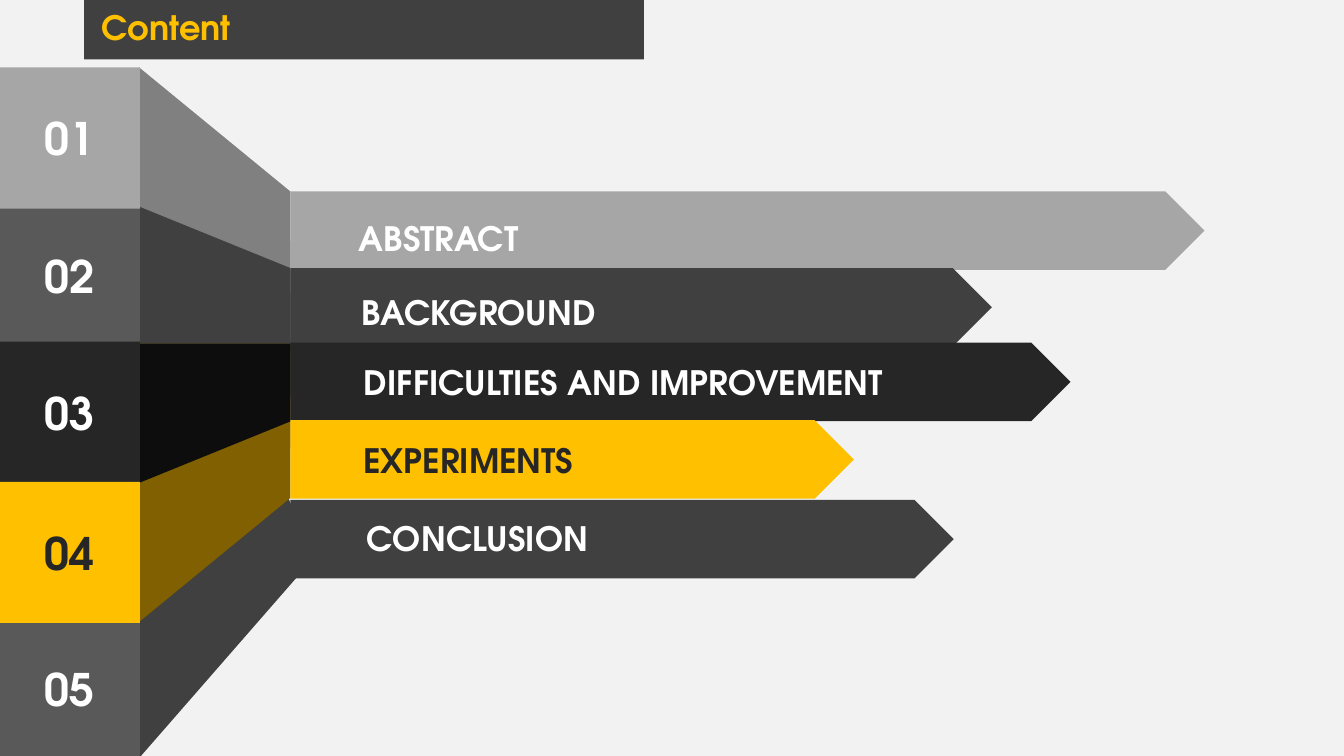
from pptx import Presentation
from pptx.dml.color import RGBColor
from pptx.enum.shapes import MSO_SHAPE
from pptx.enum.text import MSO_ANCHOR, PP_ALIGN
from pptx.util import Pt

RECTANGLE = MSO_SHAPE.RECTANGLE
PENTAGON = MSO_SHAPE.PENTAGON
PARALLELOGRAM = MSO_SHAPE.FLOWCHART_DATA
LEFT, CENTER = PP_ALIGN.LEFT, PP_ALIGN.CENTER
TOP, MIDDLE = MSO_ANCHOR.TOP, MSO_ANCHOR.MIDDLE

FONT = "TeX Gyre Adventor"
COLORS = {
    "background": "F2F2F2",
    "white": "FFFFFF",
    "silver": "A6A6A6",
    "gray": "808080",
    "slate": "595959",
    "charcoal": "404040",
    "dark": "262626",
    "black": "0D0D0D",
    "gold": "FFC000",
    "brown": "806000",
}
TILE_WIDTH, TILE_HEIGHT = 100, 100.8
FOLD_LEFT, FOLD_RIGHT = 99.4, 207.7
BAR_LEFT, BAR_HEIGHT = 207.4, 56

TILES = [
    ("05", 441.4, "slate", "white"),
    ("02", 146.2, "slate", "white"),
    ("03", 244.1, "dark", "white"),
    ("04", 344.2, "gold", "dark"),
    ("01", 48.2, "silver", "white"),
]
FOLDS = [
    (48.2, 136.8, 247, "gray"),
    (147.6, 191.5, 247, "charcoal"),
    (444.2, 355.7, 245.5, "brown"),
    (344.9, 301, 245.5, "black"),
]
BARS = [
    (136.8, 653, "silver"),
    (191.5, 501.1, "charcoal"),
    (244.8, 557.3, "dark"),
    (300.2, 402.5, "gold"),
]
LABELS = [
    ("ABSTRACT", 249.1, 151.9, 130.3, "white", LEFT, False),
    ("BACKGROUND", 249.1, 205.2, 185.8, "white", CENTER, False),
    ("DIFFICULTIES AND IMPROVEMENT", 249.8, 254.9, 391, "white", CENTER, False),
    ("EXPERIMENTS", 243.4, 311, 182.2, "dark", CENTER, True),
    ("CONCLUSION", 254.9, 366.5, 188.6, "white", LEFT, True),
]


def color(name):
    return RGBColor.from_string(COLORS[name])


def paint(shape, fill):
    shape.shadow.inherit = False
    shape.fill.solid()
    shape.fill.fore_color.rgb = color(fill)
    shape.line.fill.background()


def write(shape, text, size, ink, align, anchor, wrap=True):
    frame = shape.text_frame
    frame.word_wrap = wrap
    frame.vertical_anchor = anchor
    paragraph = frame.paragraphs[0]
    paragraph.alignment = align
    run = paragraph.add_run()
    run.text = text
    run.font.name = FONT
    run.font.size = Pt(size)
    run.font.bold = True
    run.font.color.rgb = color(ink)
    return paragraph


def add_block(slide, kind, left, top, width, height, fill):
    shape = slide.shapes.add_shape(kind, Pt(left), Pt(top), Pt(width), Pt(height))
    paint(shape, fill)
    return shape


def add_tile(slide, number, top, fill, ink):
    tile = add_block(slide, RECTANGLE, 0, top, TILE_WIDTH, TILE_HEIGHT, fill)
    write(tile, number, 32, ink, CENTER, MIDDLE)


def add_fold(slide, outer, inner, base, fill):
    builder = slide.shapes.build_freeform(Pt(BAR_LEFT), Pt(inner))
    corners = [(FOLD_LEFT, outer), (FOLD_LEFT, base), (FOLD_RIGHT, base)]
    builder.add_line_segments([(Pt(x), Pt(y)) for x, y in corners], close=True)
    paint(builder.convert_to_shape(), fill)


def add_bar(slide, top, width, fill):
    add_block(slide, PENTAGON, BAR_LEFT, top, width, BAR_HEIGHT, fill)


def add_label(slide, text, left, top, width, ink, align, wrap):
    box = slide.shapes.add_textbox(Pt(left), Pt(top), Pt(width), Pt(36))
    return write(box, text, 24, ink, align, TOP, wrap)


def main():
    presentation = Presentation()
    presentation.slide_width = Pt(960)
    presentation.slide_height = Pt(540)
    slide = presentation.slides.add_slide(presentation.slide_layouts[6])
    slide.background.fill.solid()
    slide.background.fill.fore_color.rgb = color("background")

    add_block(slide, RECTANGLE, 60, 0, 400, 42.5, "charcoal")
    title = add_label(slide, "Content", 65.5, 4.3, 270, "gold", LEFT, True)
    title.line_spacing = 0.9

    last_fold = add_block(slide, PARALLELOGRAM, 15.8, 369.4, 244.1, 101.5, "charcoal")
    last_fold.rotation = 311.1
    add_tile(slide, *TILES[0])
    add_bar(slide, 357.1, 473.8, "charcoal")
    for fold in FOLDS:
        add_fold(slide, *fold)
    for tile in TILES[1:]:
        add_tile(slide, *tile)
    for bar in BARS:
        add_bar(slide, *bar)
    for label in LABELS:
        add_label(slide, *label)

    presentation.save("out.pptx")


if __name__ == "__main__":
    main()
